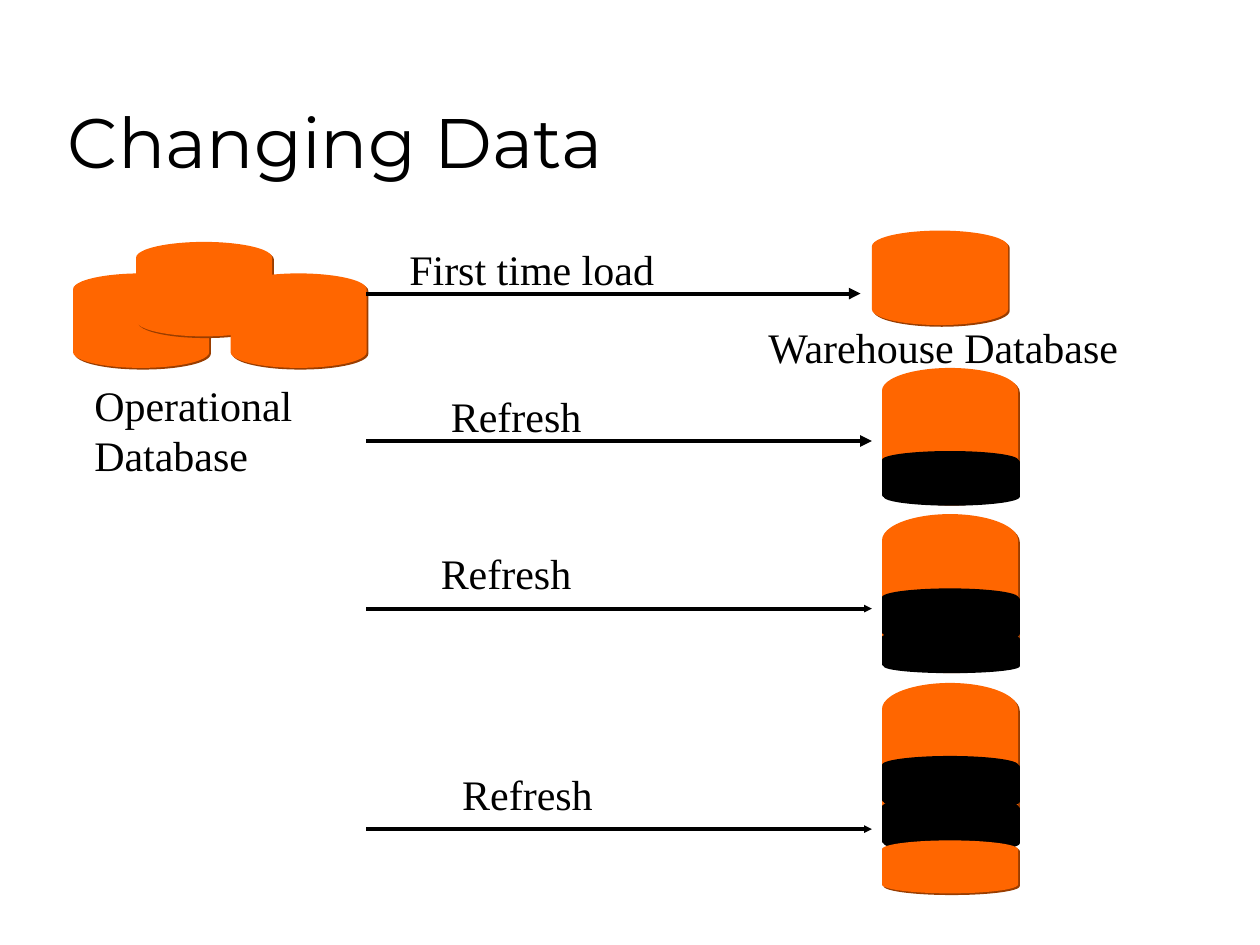
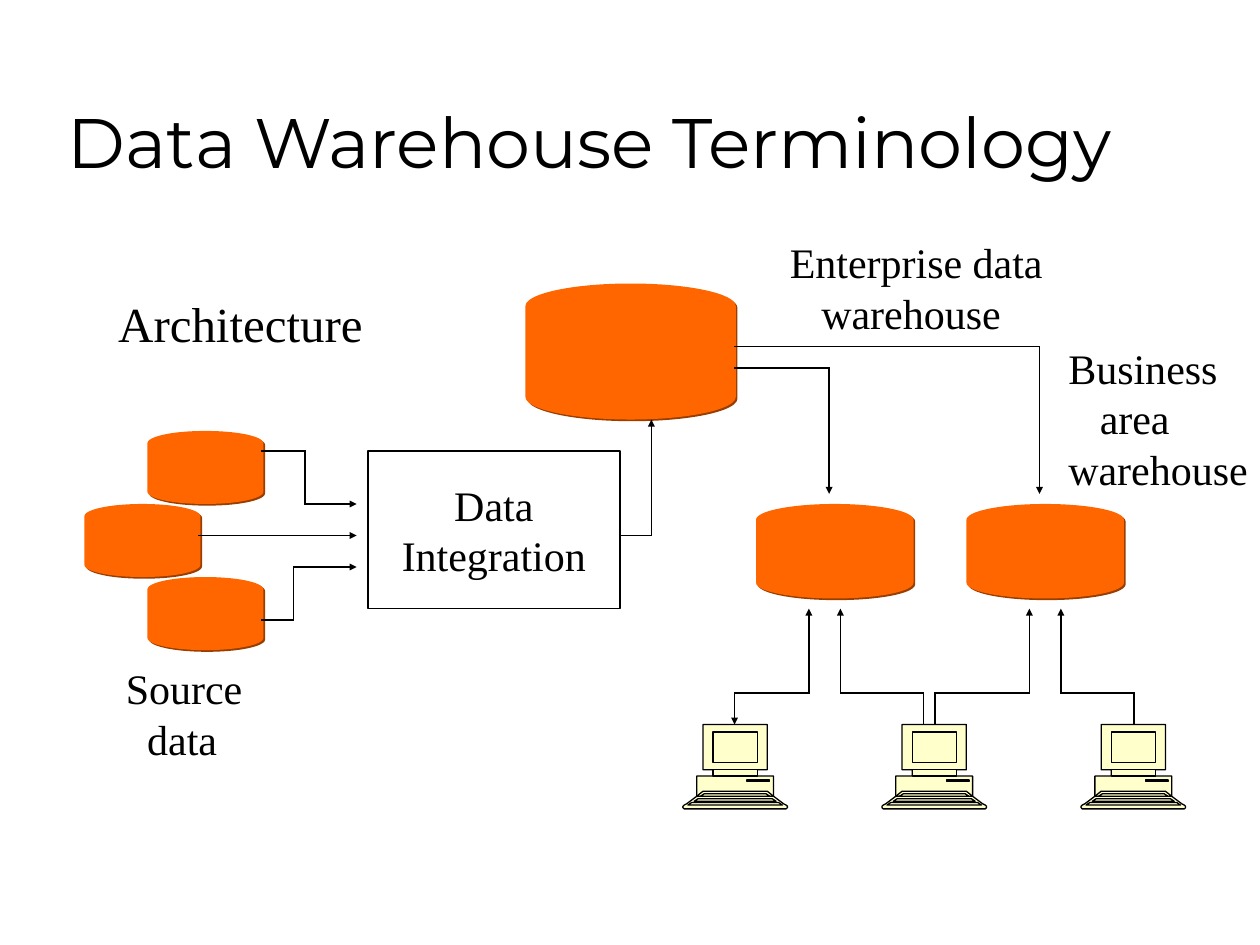
import pptx
import pptx.util
import pptx.dml.color
import pptx.enum.shapes
import pptx.enum.text
import pptx.oxml.ns
import lxml.etree

Inches = pptx.util.Inches
Pt = pptx.util.Pt
qn = pptx.oxml.ns.qn
SHAPE = pptx.enum.shapes.MSO_SHAPE
ANCHOR = pptx.enum.text.MSO_ANCHOR
ALIGN = pptx.enum.text.PP_ALIGN
AUTO = pptx.enum.text.MSO_AUTO_SIZE

COLORS = {"ink": "000000", "orange": "FF6600", "orange_shade": "993D00", "cream": "FFFFCC"}
SHADES = {"orange": "orange_shade", "ink": "ink"}
TITLE_FONT, BODY_FONT = "Montserrat", "Times New Roman"

OPERATIONAL_DISKS = [(0.58, 2.17), (1.08, 1.92), (1.83, 2.17)]
FIRST_LOAD_DISK = (6.92, 1.83)
DISK_SIZE = (1.08, 0.75)
STACK_LEFT = 7
REFRESH_STACKS = [
    [(2.92, 1.08, "orange"), (3.58, 0.42, "ink")],
    [(4.08, 1.25, "orange"), (4.67, 0.42, "ink"), (5, 0.33, "ink")],
    [(5.42, 1.25, "orange"), (6, 0.42, "ink"), (6.33, 0.42, "ink"), (6.67, 0.42, "orange")],
]
LOAD_START = 2.92
LOADS = [
    (2.33, 6.83, "med", "First time load", (3.15, 1.88, 2.17, 0.5)),
    (3.5, 6.92, "med", "Refresh", (3.48, 3.05, 1.26, 0.5)),
    (4.83, 6.92, "sm", "Refresh", (3.4, 4.3, 1.26, 0.5)),
    (6.58, 6.92, "sm", "Refresh", (3.57, 6.05, 1.26, 0.5)),
]
DATABASE_LABELS = [
    (["Warehouse Database"], (6, 2.5, 3, 0.5)),
    (["Operational", "Database"], (0.65, 2.96, 1.94, 0.9)),
]

ENTERPRISE_DISK = (4.17, 2.25, 1.67, 1.08)
AREA_DISKS = [(6, 4), (7.67, 4)]
AREA_SIZE = (1.25, 0.75)
SOURCE_DISKS = [(1.17, 3.42), (0.67, 4), (1.17, 4.58)]
SOURCE_SIZE = (0.92, 0.58)
INTEGRATION_BOX = (2.92, 3.58, 2, 1.25)
ROUTES = [
    [(4.92, 4.25), (5.17, 4.25), (5.17, 3.33)],
    [(5.83, 2.92), (6.58, 2.92), (6.58, 3.92)],
    [(5.83, 2.75), (8.25, 2.75), (8.25, 3.92)],
    [(7.33, 5.75), (7.33, 5.5), (6.67, 5.5), (6.67, 4.83)],
    [(7.42, 5.75), (7.42, 5.5), (8.17, 5.5), (8.17, 4.83)],
    [(9, 5.75), (9, 5.5), (8.42, 5.5), (8.42, 4.83)],
    [(1.58, 4.25), (2.83, 4.25)],
    [(2.08, 3.58), (2.42, 3.58), (2.42, 4), (2.83, 4)],
    [(2.08, 4.92), (2.33, 4.92), (2.33, 4.5), (2.83, 4.5)],
]
TWO_WAY_ROUTE = [(5.83, 5.75), (5.83, 5.5), (6.42, 5.5), (6.42, 4.83)]
TERM_LABELS = [
    (["Enterprise data", "warehouse"], (0, 0.25), (6.17, 1.83, 2.23, 0.9), 24),
    (["Business", "area", "warehouse"], (0, 0.25, 0), (8.38, 2.67, 1.65, 1.3), 24),
    (["Source", "data"], (0, 0.17), (0.9, 5.21, 1.15, 0.9), 24),
    (["Architecture"], (0,), (0.84, 2.28, 2.16, 0.57), 28),
]

COMPUTER_LEFTS, COMPUTER_TOP, COMPUTER_WIDTH = (5.42, 7, 8.58), 5.75, 83
CASE_HALF = [(16, 0), (16, 36), (24, 36), (24, 41), (11, 41), (11, 57), (3, 63),
             (1, 64), (0, 65), (0, 66), (1, 67), (3, 67)]
KEYBOARD_HALF = [(16, 53), (11, 57)]
KEY_ROW_HALVES = [[(17, 55), (14, 57)], [(12, 59), (9, 61)], [(7, 62), (4, 64)]]
SCREEN_HALF = [(24, 6), (24, 30)]
NECK_HALF = [(24, 36), (24, 41)]
DRIVE_SLOT = [(51, 44), (51, 45), (69, 45), (69, 44)]


def rgb(name):
    return pptx.dml.color.RGBColor.from_string(COLORS[name])


def write(tf, lines, size=24, font=BODY_FONT, color="ink", align=ALIGN.LEFT,
          anchor=ANCHOR.TOP, wrap=False, fit=AUTO.NONE, indents=()):
    tf.word_wrap = wrap
    tf.auto_size = fit
    tf.vertical_anchor = anchor
    for i, line in enumerate(lines):
        p = tf.paragraphs[0] if i == 0 else tf.add_paragraph()
        p.alignment = align
        if i < len(indents) and indents[i]:
            p._p.get_or_add_pPr().set("marL", str(Inches(indents[i])))
        r = p.add_run()
        r.text = line
        r.font.size = Pt(size)
        r.font.name = font
        r.font.color.rgb = rgb(color)


def add_label(slide, lines, box, fit=AUTO.SHAPE_TO_FIT_TEXT, **fmt):
    sp = slide.shapes.add_textbox(*map(Inches, box))
    write(sp.text_frame, lines, fit=fit, **fmt)


def add_slide(prs, title):
    slide = prs.slides.add_slide(prs.slide_layouts[6])
    add_label(slide, [title], (0.44, 0.25, 8.5, 1.25), fit=AUTO.NONE, size=40,
              font=TITLE_FONT, anchor=ANCHOR.BOTTOM, wrap=True)
    return slide


def add_disk(slide, box, color="orange"):
    sp = slide.shapes.add_shape(SHAPE.FLOWCHART_MAGNETIC_DISK, *map(Inches, box))
    sp.fill.solid()
    sp.fill.fore_color.rgb = rgb(color)
    sp.line.fill.background()
    sp.shadow.inherit = False
    effects = sp.element.spPr.find(qn("a:effectLst"))
    shadow = lxml.etree.SubElement(effects, qn("a:outerShdw"), dist=str(Pt(1.4)),
                                   dir="2700000", algn="ctr", rotWithShape="0")
    lxml.etree.SubElement(shadow, qn("a:srgbClr"), val=COLORS[SHADES[color]])


def add_route(slide, points, width=1, head="sm", two_way=False):
    last = len(points) - 2
    for i, (start, end) in enumerate(zip(points, points[1:])):
        c = slide.shapes.add_connector(pptx.enum.shapes.MSO_CONNECTOR.STRAIGHT,
                                       *map(Inches, start + end))
        c.line.width = Pt(width)
        c.line.color.rgb = rgb("ink")
        ln = c.element.spPr.find(qn("a:ln"))
        ln.set("cap", "sq")
        for tag, wanted in (("a:headEnd", two_way and i == 0), ("a:tailEnd", i == last)):
            if wanted:
                lxml.etree.SubElement(ln, qn(tag), type="triangle", w=head, len=head)
        lxml.etree.SubElement(c.element.spPr, qn("a:effectLst"))


def mirrored(half):
    return half + [(COMPUTER_WIDTH - x, y) for x, y in reversed(half)]


def split_contours(sp):
    path_list = next(sp.element.iter(qn("a:pathLst")))
    combined = path_list[0]
    for step in list(combined):
        if step.tag == qn("a:moveTo"):
            part = lxml.etree.SubElement(path_list, qn("a:path"), dict(combined.attrib))
        part.append(step)
    path_list.remove(combined)


def add_computer(slide, left):
    halves = [CASE_HALF, KEYBOARD_HALF, *KEY_ROW_HALVES, SCREEN_HALF, NECK_HALF]
    contours = [mirrored(half) for half in halves] + [DRIVE_SLOT]
    builder = slide.shapes.build_freeform(*contours[0][0], scale=Inches(0.01))
    for i, contour in enumerate(contours):
        if i:
            builder.move_to(*contour[0])
        builder.add_line_segments(contour[1:], close=True)
    sp = builder.convert_to_shape(Inches(left), Inches(COMPUTER_TOP))
    split_contours(sp)
    sp.fill.solid()
    sp.fill.fore_color.rgb = rgb("cream")
    sp.line.color.rgb = rgb("ink")
    sp.line.width = Pt(0.75)
    sp.shadow.inherit = False


def build_changing_data(prs):
    slide = add_slide(prs, "Changing Data")
    for place in OPERATIONAL_DISKS + [FIRST_LOAD_DISK]:
        add_disk(slide, place + DISK_SIZE)
    for stack in REFRESH_STACKS:
        for top, height, color in stack:
            add_disk(slide, (STACK_LEFT, top, DISK_SIZE[0], height), color)
    for y, end, head, text, box in LOADS:
        add_route(slide, [(LOAD_START, y), (end, y)], width=2.25, head=head)
        add_label(slide, [text], box)
    for lines, box in DATABASE_LABELS:
        add_label(slide, lines, box)


def build_terminology(prs):
    slide = add_slide(prs, "Data Warehouse Terminology")
    add_disk(slide, ENTERPRISE_DISK)
    for places, size in ((AREA_DISKS, AREA_SIZE), (SOURCE_DISKS, SOURCE_SIZE)):
        for place in places:
            add_disk(slide, place + size)
    sp = slide.shapes.add_shape(SHAPE.RECTANGLE, *map(Inches, INTEGRATION_BOX))
    sp.fill.background()
    sp.line.color.rgb = rgb("ink")
    sp.line.width = Pt(1)
    sp.shadow.inherit = False
    write(sp.text_frame, ["Data", "Integration"], align=ALIGN.CENTER, anchor=ANCHOR.MIDDLE)
    for left in COMPUTER_LEFTS:
        add_computer(slide, left)
    for points in ROUTES:
        add_route(slide, points)
    add_route(slide, TWO_WAY_ROUTE, two_way=True)
    for lines, indents, box, size in TERM_LABELS:
        add_label(slide, lines, box, size=size, indents=indents)


def main():
    prs = pptx.Presentation()
    prs.slide_width, prs.slide_height = Inches(10), Inches(7.5)
    build_changing_data(prs)
    build_terminology(prs)
    prs.save("out.pptx")


if __name__ == "__main__":
    main()
